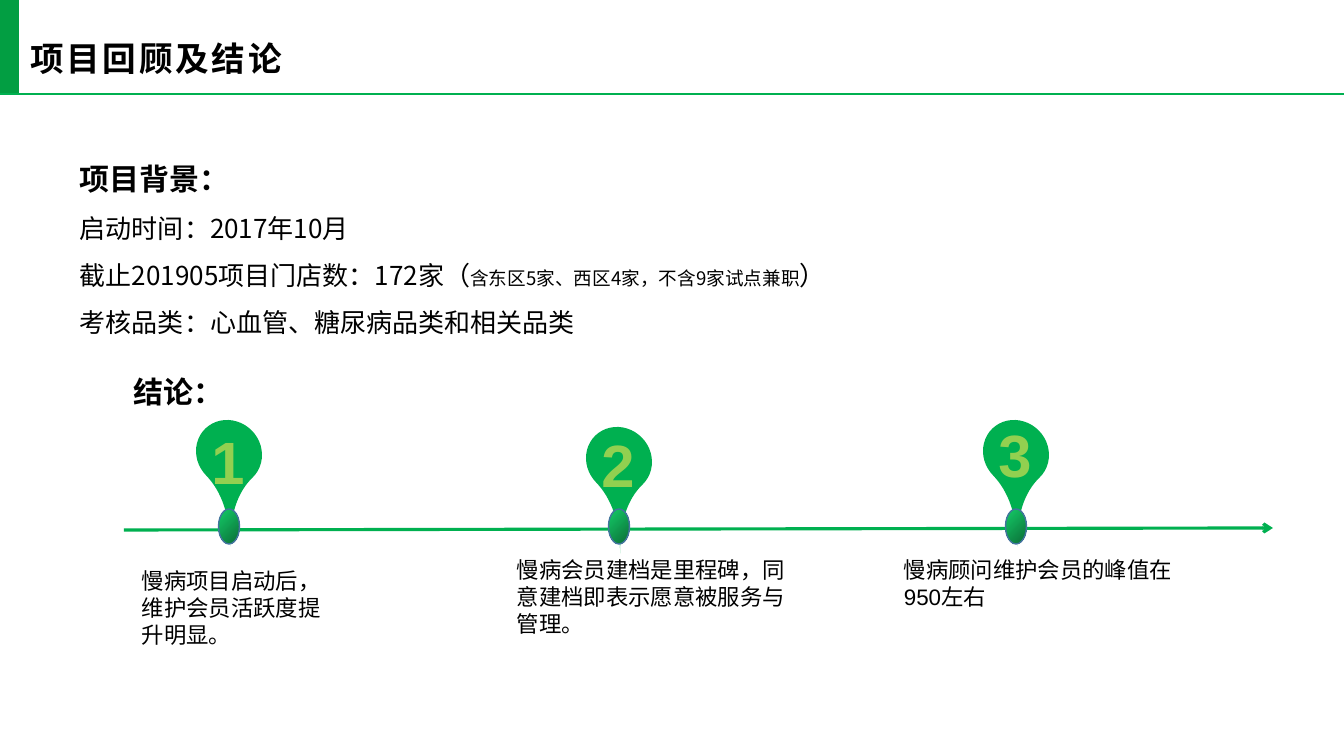
from lxml import etree
from pptx import Presentation
from pptx.dml.color import RGBColor
from pptx.enum.shapes import MSO_CONNECTOR, MSO_SHAPE
from pptx.enum.text import MSO_ANCHOR, MSO_AUTO_SIZE, PP_ALIGN
from pptx.oxml.ns import qn
from pptx.util import Emu, Pt

STRAIGHT = MSO_CONNECTOR.STRAIGHT
RECTANGLE, OVAL, TEAR = MSO_SHAPE.RECTANGLE, MSO_SHAPE.OVAL, MSO_SHAPE.TEAR
MIDDLE, LEFT = MSO_ANCHOR.MIDDLE, PP_ALIGN.LEFT
NO_FIT = MSO_AUTO_SIZE.NONE

BLACK = RGBColor(0x00, 0x00, 0x00)
BAR_GREEN = RGBColor(0x02, 0x9E, 0x42)
GREEN = RGBColor(0x00, 0xB0, 0x50)
LIME = RGBColor(0x92, 0xD0, 0x50)
DOT_LIGHT = RGBColor(0x14, 0xCD, 0x68)
DOT_DARK = RGBColor(0x0B, 0x6E, 0x38)
DOT_EDGE = RGBColor(0x43, 0x73, 0x9E)
CJK_FONT, LATIN_FONT = "Noto Sans CJK SC", "Arial"

TITLE = "项目回顾及结论"
BACKGROUND_HEAD = "项目背景："
# Each line is a list of (text, size in points)
BACKGROUND_LINES = [
    [("启动时间：2017年10月", 18.6)],
    [("截止201905项目门店数：172家（", 18.6),
     ("含东区5家、西区4家，不含9家试点兼职", 13.3), ("）", 18.6)],
    [("考核品类：心血管、糖尿病品类和相关品类", 18.6)],
]
CONCLUSION_HEAD = "结论："
# Centre x, pin top, digit top, note box, note paragraphs
MILESTONES = [
    (229, 419, 420, (132, 562, 206, 92), ["慢病项目启动后，", "维护会员活跃度提升明显。"]),
    (619, 426, 423, (507, 551, 300, 92),
     ["慢病会员建档是里程碑，同意建档即表示愿意被服务与管理。"]),
    (1016, 419, 413, (894, 551, 321, 65), ["慢病顾问维护会员的峰值在950左右"]),
]
PAGE_WIDTH, PAGE_HEIGHT = 1344, 756
PIN_WIDTH, PIN_HEIGHT = 64, 68
DOT_TOP, DOT_WIDTH, DOT_HEIGHT = 509, 21, 35
DIGIT_WIDTH, DIGIT_HEIGHT = 55, 83


def px(length):
    return Emu(round(length * 914400 / 100.8))


def scaled(*lengths):
    return [px(length) for length in lengths]


def style(font, size, name, color=BLACK, bold=False):
    """Format a font, using one typeface for Latin and East Asian text."""
    font.size, font.bold, font.name = Pt(size), bold, name
    font.color.rgb = color
    latin = font._element.find(qn("a:latin"))
    east_asian = etree.Element(qn("a:ea"), typeface=CJK_FONT)
    latin.addnext(east_asian)


def add_text(page, area, lines, size, name, color=BLACK, bold=False, wrap=True):
    box = page.shapes.add_textbox(*scaled(*area))
    frame = box.text_frame
    frame.word_wrap = wrap
    frame.text = "\n".join(lines)
    for para in frame.paragraphs:
        style(para.font, size, name, color, bold)
    return frame


def add_filled(page, kind, area, color):
    shape = page.shapes.add_shape(kind, *scaled(*area))
    shape.shadow.inherit = False
    shape.fill.solid()
    shape.fill.fore_color.rgb = color
    shape.line.fill.background()
    return shape


def add_line(page, ends, width):
    line = page.shapes.add_connector(STRAIGHT, *scaled(*ends))
    line.line.color.rgb = GREEN
    line.line.width = Pt(width)
    etree.SubElement(line._element.spPr, qn("a:effectLst"))
    return line


def add_title(page):
    title = page.shapes.title
    title.left, title.top, title.width, title.height = scaled(19, 22, 593, 72)
    frame = title.text_frame
    frame.text = TITLE
    frame.auto_size, frame.vertical_anchor = NO_FIT, MIDDLE
    frame.margin_left, frame.margin_right = px(11), px(8)
    frame.margin_top = frame.margin_bottom = px(4)
    para = frame.paragraphs[0]
    para.alignment = LEFT
    style(para.font, 24, CJK_FONT, bold=True)
    para.font._element.set("spc", "200")


def add_background(page):
    frame = add_text(page, (70, 138, 1046, 208), [BACKGROUND_HEAD], 21.4, CJK_FONT, bold=True)
    for line in BACKGROUND_LINES:
        para = frame.add_paragraph()
        style(para.font, line[0][1], CJK_FONT)
        for text, size in line:
            span = para.add_run()
            span.text = text
            span.font.size = Pt(size)
    for para in frame.paragraphs:
        para.line_spacing = 1.5


def add_dot(page, center):
    dot = add_filled(page, OVAL, (center - DOT_WIDTH / 2, DOT_TOP, DOT_WIDTH, DOT_HEIGHT), GREEN)
    dot.fill.gradient()
    dot.fill.gradient_angle = 315
    for stop, color in zip(dot.fill.gradient_stops, (DOT_LIGHT, DOT_DARK)):
        stop.color.rgb = color
    dot.line.color.rgb = DOT_EDGE
    dot.line.width = Pt(1)


def add_timeline(page):
    for center, pin_top, *_ in MILESTONES:
        pin = add_filled(page, TEAR, (center - PIN_WIDTH / 2, pin_top, PIN_WIDTH, PIN_HEIGHT), GREEN)
        pin.adjustments[0] = 2
        pin.rotation = 136
    axis = add_line(page, (124, 530, 1273, 528), 2.25)
    etree.SubElement(axis.line._get_or_add_ln(), qn("a:tailEnd"), type="arrow")
    for number, (center, _, digit_top, note_area, note) in enumerate(MILESTONES, 1):
        add_dot(page, center)
        digit_area = (center - DIGIT_WIDTH / 2, digit_top, DIGIT_WIDTH, DIGIT_HEIGHT)
        add_text(page, digit_area, [str(number)], 42.6, LATIN_FONT, LIME, True)
        add_text(page, note_area, note, 16, LATIN_FONT)


def main():
    deck = Presentation()
    deck.slide_width, deck.slide_height = scaled(PAGE_WIDTH, PAGE_HEIGHT)
    page = deck.slides.add_slide(deck.slide_layouts.get_by_name("Title Only"))
    add_filled(page, RECTANGLE, (0, 0, 19, 94), BAR_GREEN)
    add_line(page, (0, 94, PAGE_WIDTH, 94), 1)
    add_title(page)
    add_background(page)
    add_text(page, (124, 369, 110, 46), [CONCLUSION_HEAD], 21.4, CJK_FONT, bold=True, wrap=False)
    add_timeline(page)
    deck.save("out.pptx")


if __name__ == "__main__":
    main()
